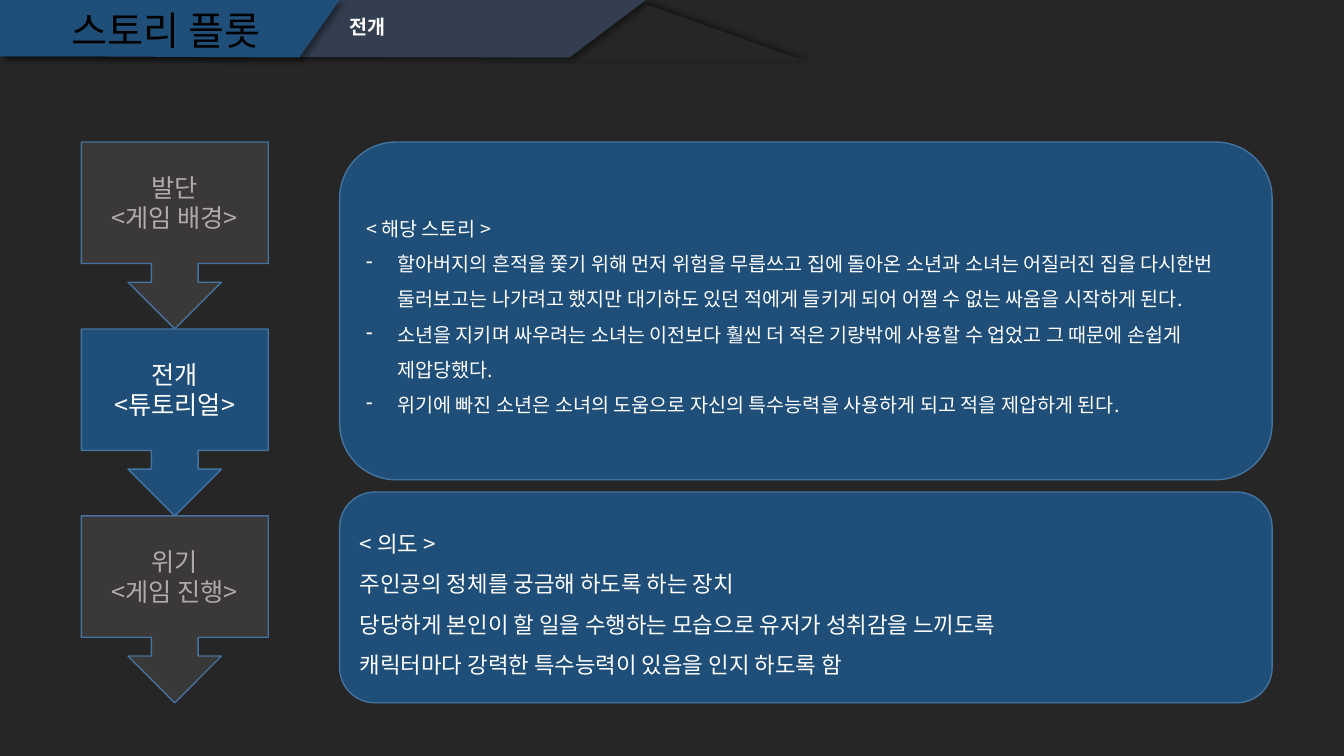
from lxml.etree import SubElement
from pptx import Presentation
from pptx.dml.color import RGBColor
from pptx.enum.shapes import MSO_SHAPE
from pptx.enum.text import MSO_ANCHOR, PP_ALIGN
from pptx.oxml.ns import qn
from pptx.util import Cm, Pt

KOREAN_FONT = "Noto Sans CJK KR"
DARK, NAVY, BLUE, EDGE = "262626", "333F50", "1F4E79", "43739E"
GREY, PALE, WHITE = "3B3838", "AFABAB", "FFFFFF"


def paint(shape, fill, edge=None, shadow_angle=None):
    """Set fill, outline and an optional shadow cast at an angle in degrees."""
    shape.fill.solid()
    shape.fill.fore_color.rgb = RGBColor.from_string(fill)
    if edge:
        shape.line.color.rgb = RGBColor.from_string(edge)
        shape.line.width = Pt(1)
    else:
        shape.line.fill.background()
    shape.shadow.inherit = False
    if shadow_angle is not None:
        effects = shape._element.spPr.find(qn("a:effectLst"))
        shadow = SubElement(effects, qn("a:outerShdw"), blurRad=str(Pt(4)), dist=str(Pt(3)),
                            dir=str(shadow_angle * 60000), algn="tl", rotWithShape="0")
        black = SubElement(shadow, qn("a:srgbClr"), val="000000")
        SubElement(black, qn("a:alpha"), val="40000")


def write(shape, lines, size, color, font=KOREAN_FONT, bold=False, align=PP_ALIGN.LEFT,
          anchor=MSO_ANCHOR.MIDDLE, spacing=1.0, dashed_from=None):
    """Fill a shape with paragraphs; those from index dashed_from on get a dash."""
    frame = shape.text_frame
    frame.word_wrap = True
    frame.vertical_anchor = anchor
    for index, line in enumerate(lines):
        paragraph = frame.paragraphs[0] if index == 0 else frame.add_paragraph()
        paragraph.alignment = align
        paragraph.line_spacing = spacing
        if dashed_from is not None and index >= dashed_from:
            properties = paragraph._p.get_or_add_pPr()
            properties.set("marL", str(Cm(0.79)))
            properties.set("indent", str(-Cm(0.79)))
            SubElement(properties, qn("a:buChar"), char="-")
        run = paragraph.add_run()
        run.text = line
        run.font.size = Pt(size)
        run.font.bold = bold
        run.font.name = font
        run.font.color.rgb = RGBColor.from_string(color)
        SubElement(run.font._element, qn("a:ea"), typeface=KOREAN_FONT)


deck = Presentation()
deck.slide_width, deck.slide_height = Cm(33.87), Cm(19.05)
slide = deck.slides.add_slide(deck.slide_layouts[6])
slide.background.fill.solid()
slide.background.fill.fore_color.rgb = RGBColor.from_string(DARK)
shapes = slide.shapes

# Header bands
header_peak = shapes.add_shape(MSO_SHAPE.ISOSCELES_TRIANGLE, Cm(12.19), Cm(0.1), Cm(8.13), Cm(1.45))
paint(header_peak, DARK, shadow_angle=315)

header_bands = [
    (NAVY, [(0.13, 0), (16.28, 0), (14.35, 1.45), (3.5, 1.42), (0.13, 1.42)]),
    (BLUE, [(0, 0), (8.56, 0), (7.54, 1.45), (1.78, 1.42), (0, 1.42)]),
]
for color, corners in header_bands:
    points = [(Cm(x), Cm(y)) for x, y in corners]
    outline = shapes.build_freeform(*points[0])
    outline.add_line_segments(points[1:], close=True)
    paint(outline.convert_to_shape(), color, shadow_angle=45)

stage_heading = shapes.add_textbox(Cm(8.56), Cm(0.33), Cm(4.62), Cm(0.81))
write(stage_heading, ["전개"], 14, WHITE, font="Arial", bold=True,
      anchor=MSO_ANCHOR.TOP, spacing=0.9)
page_title = shapes.add_textbox(Cm(1.27), Cm(0.15), Cm(5.82), Cm(1.35))
write(page_title, ["스토리 플롯"], 28, "000000", font="Arial",
      align=PP_ALIGN.CENTER, spacing=0.9)

# Plot stages, each pointing down to the next
content_top, stage_size = 3.58, 4.71
stages = [
    ("발단", "<게임 배경>", GREY, PALE),
    ("전개", "<튜토리얼>", BLUE, WHITE),
    ("위기", "<게임 진행>", GREY, PALE),
]
for row, (stage, part, fill, ink) in enumerate(stages):
    callout = shapes.add_shape(MSO_SHAPE.DOWN_ARROW_CALLOUT, Cm(2.05),
                               Cm(content_top + row * stage_size), Cm(stage_size), Cm(stage_size))
    paint(callout, fill, EDGE)
    write(callout, [stage, part], 18, ink, align=PP_ALIGN.CENTER)

# Panels: intent below, story above
intent = [
    "< 의도 >",
    "주인공의 정체를 궁금해 하도록 하는 장치",
    "당당하게 본인이 할 일을 수행하는 모습으로 유저가 성취감을 느끼도록",
    "캐릭터마다 강력한 특수능력이 있음을 인지 하도록 함",
]
story = [
    "< 해당 스토리 >",
    "할아버지의 흔적을 쫓기 위해 먼저 위험을 무릅쓰고 집에 돌아온 소년과 소녀는 어질러진 집을 "
    "다시한번 둘러보고는 나가려고 했지만 대기하도 있던 적에게 들키게 되어 어쩔 수 없는 싸움을 "
    "시작하게 된다.",
    "소년을 지키며 싸우려는 소녀는 이전보다 훨씬 더 적은 기량밖에 사용할 수 업었고 "
    "그 때문에 손쉽게 제압당했다.",
    "위기에 빠진 소년은 소녀의 도움으로 자신의 특수능력을 사용하게 되고 적을 제압하게 된다.",
]
panels = [(12.4, 5.31, intent, 16, None), (content_top, 8.51, story, 14, 1)]
for top, height, lines, size, dashed_from in panels:
    panel = shapes.add_shape(MSO_SHAPE.ROUNDED_RECTANGLE, Cm(8.56), Cm(top), Cm(23.5), Cm(height))
    paint(panel, BLUE, EDGE)
    write(panel, lines, size, WHITE, spacing=1.5, dashed_from=dashed_from)

deck.save("out.pptx")
